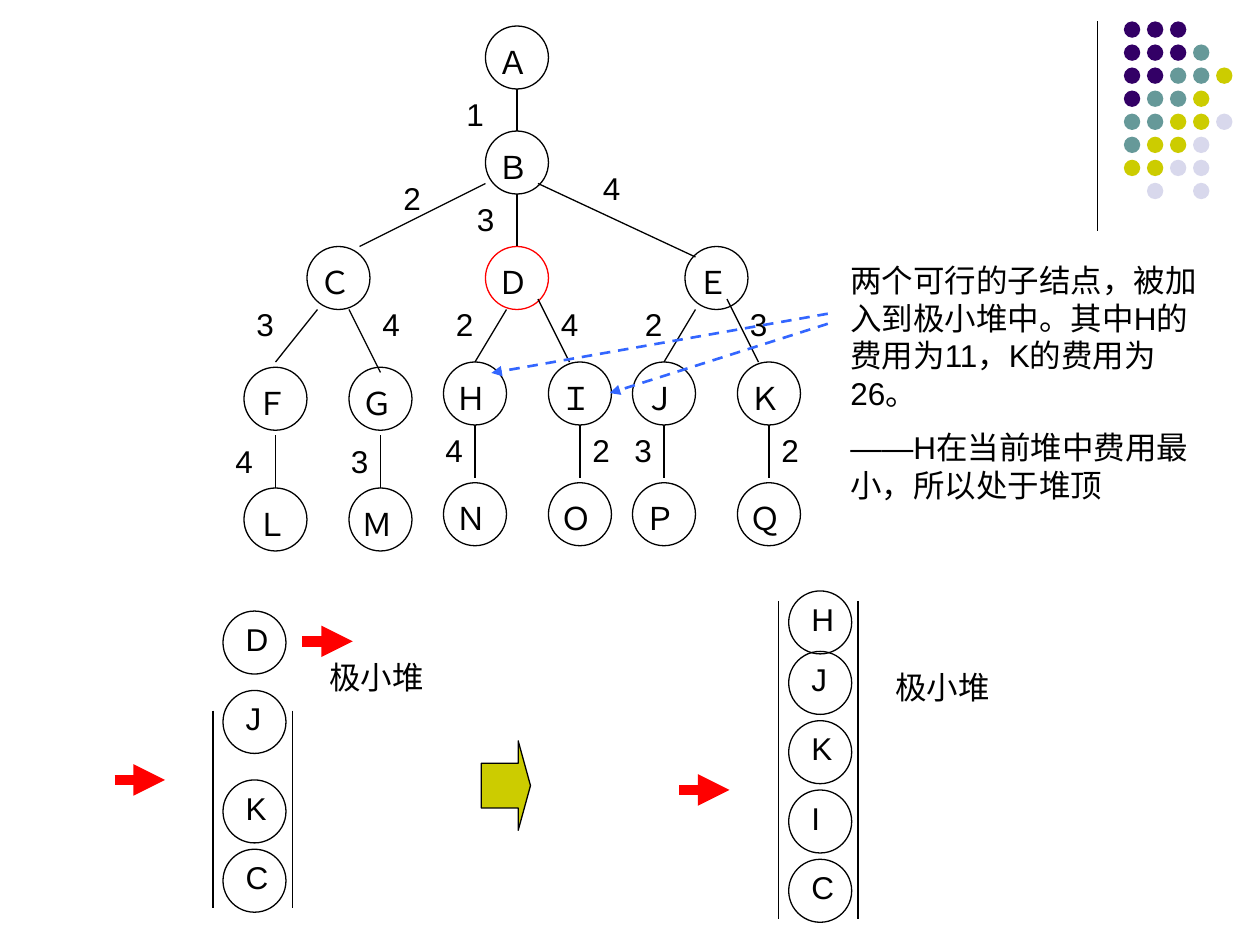
from lxml import etree
from pptx import Presentation
from pptx import util as u
from pptx.dml.color import RGBColor
from pptx.enum import dml, shapes, text
from pptx.oxml.ns import qn

THEME = {
    "ink": "000000", "hot": "FF0000", "link": "3366FF", "page": "FFFFFF",
    "P": "330066", "T": "669999", "Y": "CCCC00", "L": "D8D8EC",
    "thin": 0.75, "dash": 1.5, "bold": 6,
    "font": {"name": "Arial", "size": u.Pt(18)},
    "gap": u.Pt(9),
}
DOTS = ["PPP", "PPPT", "PPTTY", "PTTY", "TTYYL", "TYYL", "YYLL", ".L.L"]
NODES = [
    ("Ａ", 46, 2), ("Ｂ", 46, 12), ("Ｃ", 29, 23), ("Ｄ", 46, 23),
    ("Ｅ", 65, 23), ("Ｆ", 23, 34.5), ("Ｇ", 33, 34.5), ("Ｌ", 23, 46),
    ("Ｍ", 33, 46), ("Ｈ", 42, 34), ("Ｉ", 52, 34), ("Ｎ", 42, 45.5),
    ("Ｏ", 52, 45.5), ("Ｊ", 60, 34), ("Ｋ", 70, 34), ("Ｐ", 60, 45.5),
    ("Ｑ", 70, 45.5),
]
EDGES = [
    ((49, 8), (49, 12)), ((49, 18), (49, 23)), ((46, 17), (34, 23)),
    ((51, 17), (66, 24)), ((48, 29), (45, 34)), ((30, 29), (26, 34)),
    ((66, 29), (63, 34)), ((69, 28), (72, 34)), ((51, 28), (54, 34)),
    ((33, 29), (36, 35)), ((26, 41), (26, 46)), ((36, 41), (36, 46)),
] + [((col, 40), (col, 45)) for col in (45, 55, 63, 73)]
COSTS = [
    ("1", 43, 8), ("3", 44, 18), ("4", 56, 15), ("2", 37, 16),
    ("3", 23, 28), ("4", 35, 28), ("2", 42, 28), ("4", 52, 28),
    ("2", 60, 28), ("3", 70, 28), ("4", 21, 41), ("3", 32, 41),
    ("4", 41, 40), ("2", 55, 40), ("3", 59, 40), ("2", 73, 40),
]
NOTE = ["两个可行的子结点，被加入到极小堆中。其中H的费用为11，K的费用为26。",
        "——H在当前堆中费用最小，所以处于堆顶"]
LINKS = [((65.7, 24.9), (39, 29.6)), ((65.7, 25.7), (48.4, 31.2))]
HEAPS = [
    {"left": 17.7, "rail": (56.4, 72.1), "name": (24, 51.7),
     "items": [("D", 48.5), ("J", 54.8), ("K", 61.9), ("C", 67.4)]},
    {"left": 62.6, "rail": (47.7, 72.9), "name": (68.9, 52.5),
     "items": [("H", 46.9), ("J", 51.7), ("K", 57.2), ("I", 62.7), ("C", 68.2)]},
]
MARKS = [(9.1, 61.9), (24, 50.9), (53.9, 62.7)]

deck = Presentation()
deck.slide_width, deck.slide_height = u.Inches(10), u.Inches(7.5)
slide = deck.slides.add_slide(deck.slide_layouts[6])
tree = slide.shapes
KIND = shapes.MSO_SHAPE


def pc(*vals):
    return [int(deck.slide_width * val / 100) for val in vals]


def grid(col, row):
    return 0.2 + col / 1.2, 0.4 + row / 1.2


def hue(key):
    return RGBColor.from_string(THEME[key])


def form(kind, box, fill=None, line=None):
    item = tree.add_shape(kind, *pc(*box))
    item.shadow.inherit = False
    if fill:
        item.fill.solid()
        item.fill.fore_color.rgb = hue(fill)
    else:
        item.fill.background()
    if line:
        item.line.color.rgb = hue(line)
        item.line.width = u.Pt(THEME["thin"])
    else:
        item.line.fill.background()
    return item


def write(item, paras, align=text.PP_ALIGN.LEFT):
    frame = item.text_frame
    look = {"word_wrap": True, "vertical_anchor": text.MSO_ANCHOR.TOP,
            "auto_size": text.MSO_AUTO_SIZE.SHAPE_TO_FIT_TEXT}
    for key, val in look.items():
        setattr(frame, key, val)
    for num, words in enumerate(paras):
        para = frame.add_paragraph() if num else frame.paragraphs[0]
        para.alignment = align
        if num:
            para.space_before = THEME["gap"]
        run = para.add_run()
        run.text = words
        for key, val in THEME["font"].items():
            setattr(run.font, key, val)
        run.font.color.rgb = hue("ink")


def label(words, x, y, wide=4.2, align=text.PP_ALIGN.LEFT):
    write(tree.add_textbox(*pc(x, y, wide, 4)), [words], align)


def ring(x, y, line="ink"):
    return form(KIND.OVAL, (x, y, 5, 5), line=line)


def wire(start, end, color="ink", width="thin", dash=False, head=False):
    item = tree.add_connector(shapes.MSO_CONNECTOR.STRAIGHT, *pc(*start, *end))
    item.line.color.rgb = hue(color)
    item.line.width = u.Pt(THEME[width])
    if dash:
        item.line.dash_style = dml.MSO_LINE.DASH
    props = item._element.spPr
    if head:
        etree.SubElement(props.find(qn("a:ln")), qn("a:tailEnd"), type="triangle")
    etree.SubElement(props, qn("a:effectLst"))
    return item


wire((87.1, 1.7), (87.1, 18.3))
for row, line in enumerate(DOTS):
    for col, key in enumerate(line):
        if key != ".":
            form(KIND.OVAL, (89.2 + 1.83 * col, 1.7 + 1.83 * row, 1.3, 1.3), key)

tops = {}
for name, col, row in NODES:
    x, y = grid(col, row)
    tops[col + 3, row] = ring(x, y, "hot" if name == "Ｄ" else "ink")
    label(name, x, y + 0.83)
for start, end in EDGES:
    edge = wire(grid(*start), grid(*end))
    if end in tops:
        edge.end_connect(tops[end], 0)
for cost, col, row in COSTS:
    label(cost, *grid(col, row), 3.3)

write(form(KIND.RECTANGLE, (66.5, 20.2, 30.7, 20.5), "page"), NOTE)
for start, end in LINKS:
    wire(start, end, "link", "dash", dash=True, head=True)

for heap in HEAPS:
    left = heap["left"]
    for x in (left - 0.8, left + 5.5):
        wire(*[(x, y) for y in heap["rail"]])
    for name, y in heap["items"]:
        ring(left, y)
        label(name, left + 0.8, y + 0.2)
    label("极小堆", *heap["name"], 11.8, text.PP_ALIGN.CENTER)
for x, y in MARKS:
    wire((x, y), (x + 4, y), "hot", "bold", head=True)
arrow = form(KIND.RIGHT_ARROW, (38.2, 58.8, 3.9, 7.1), "Y", "ink")
arrow.adjustments[1] = 0.25

deck.save("out.pptx")
